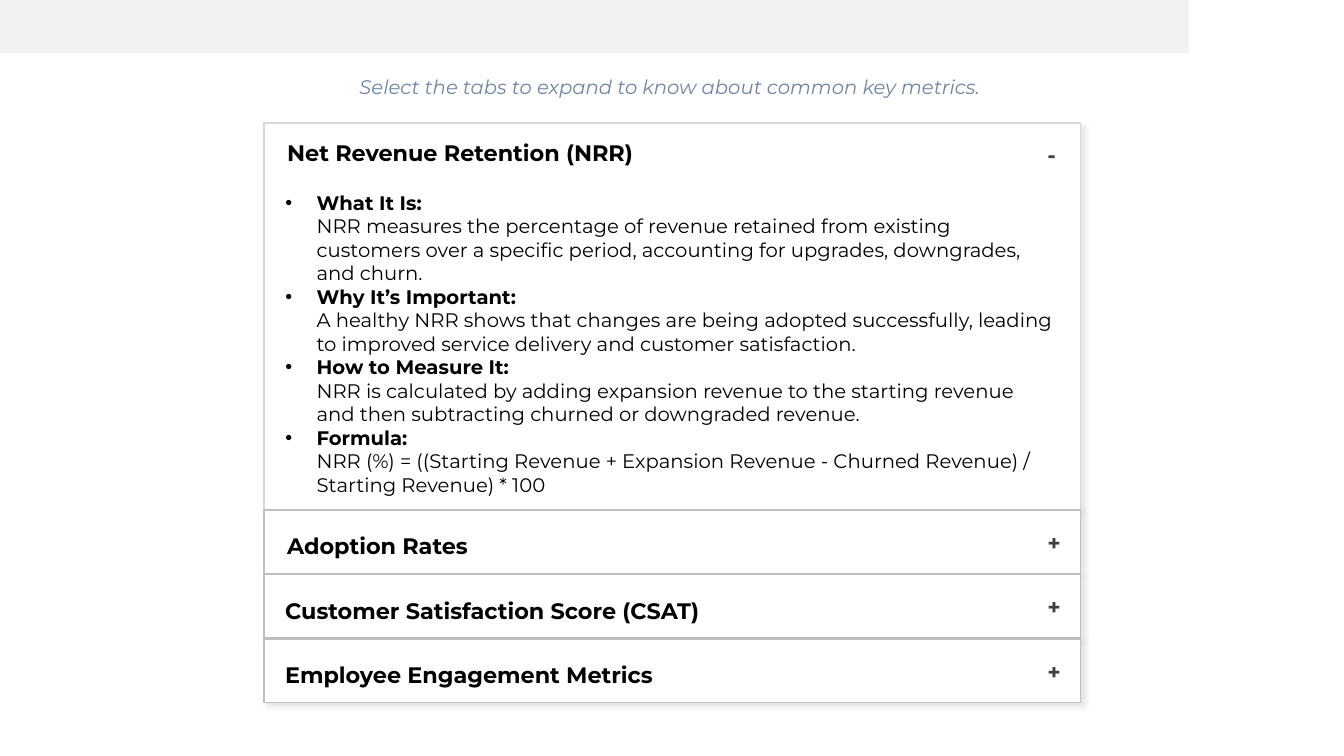
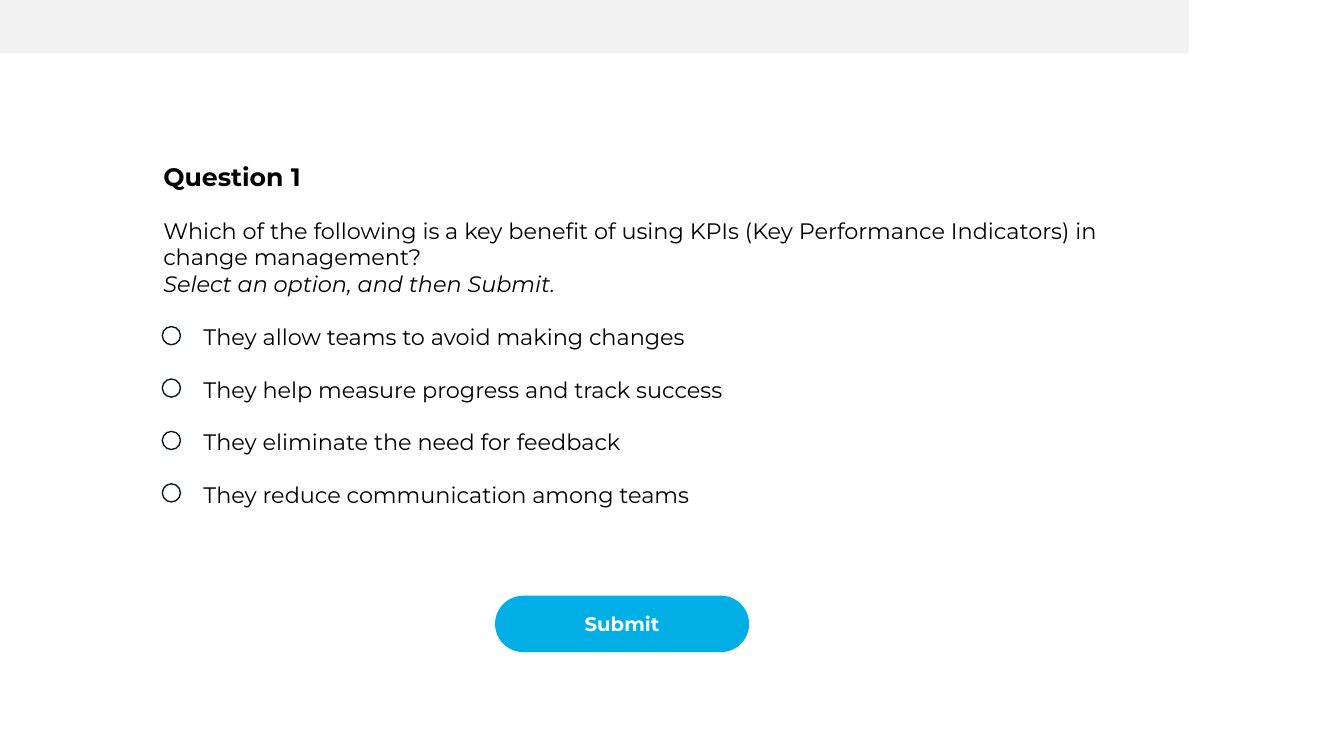
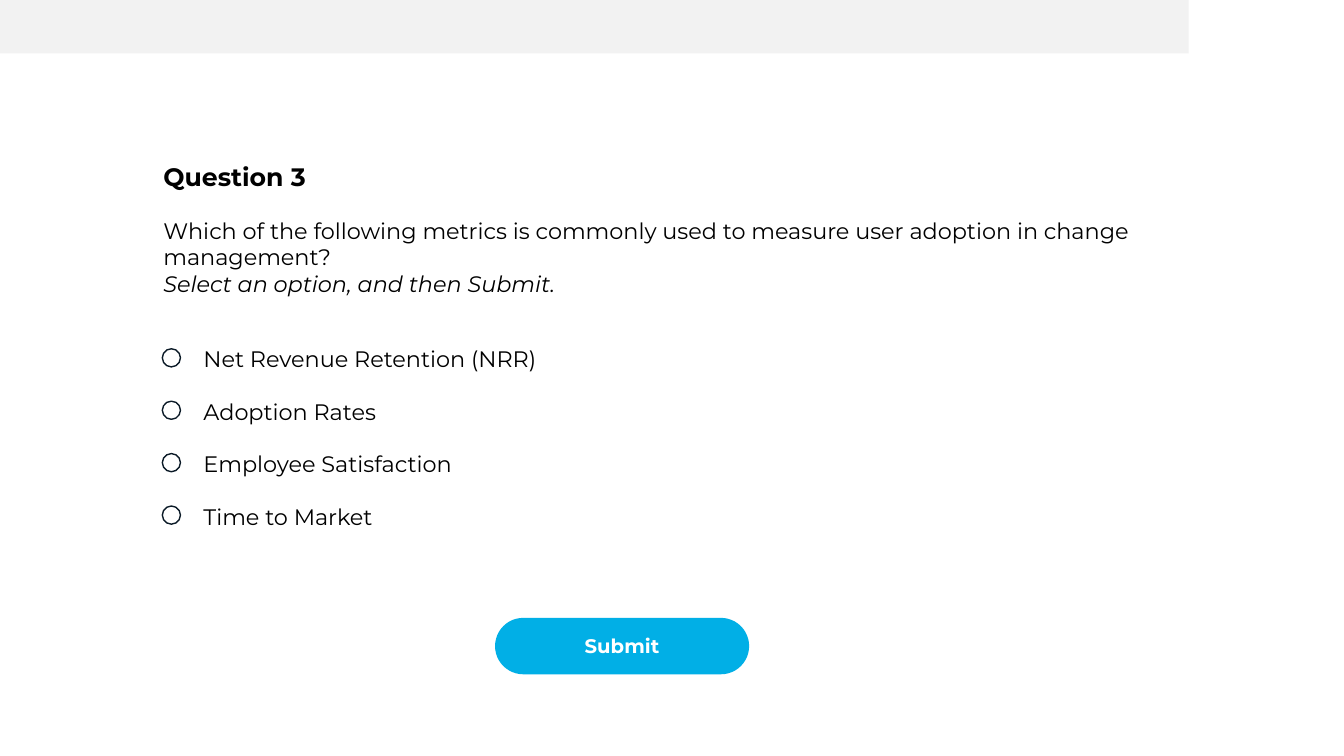
from copy import deepcopy
from dataclasses import dataclass

from lxml.etree import SubElement
from pptx import Presentation
from pptx.dml.color import RGBColor
from pptx.enum.shapes import MSO_SHAPE
from pptx.enum.text import MSO_ANCHOR, MSO_AUTO_SIZE, PP_ALIGN
from pptx.oxml.ns import qn
from pptx.util import Inches, Pt


@dataclass(frozen=True)
class Theme:
    font: str = "Montserrat"
    text: str = "000000"
    hint: str = "6E85A3"
    sign: str = "404040"
    white: str = "FFFFFF"
    band: str = "F2F2F2"
    panel_line: str = "D9D9D9"
    row_line: str = "BFBFBF"
    radio_line: str = "0B1A27"
    button: str = "01AFE6"
    heading_size: int = 18
    text_size: int = 16
    small_size: int = 14


T = Theme()

NRR_POINTS = [
    ("What It Is:",
     "NRR measures the percentage of revenue retained from existing customers over "
     "a specific period, accounting for upgrades, downgrades, and churn."),
    ("Why It’s Important:",
     "A healthy NRR shows that changes are being adopted successfully, leading to "
     "improved service delivery and customer satisfaction."),
    ("How to Measure It:",
     "NRR is calculated by adding expansion revenue to the starting revenue and then "
     "subtracting churned or downgraded revenue."),
    ("Formula:",
     "NRR (%) = ((Starting Revenue + Expansion Revenue - Churned Revenue) / "
     "Starting Revenue) * 100"),
]

CLOSED_TABS = [
    ("Adoption Rates", 2.75),
    ("Customer Satisfaction Score (CSAT)", 2.73),
    ("Employee Engagement Metrics", 2.73),
]


def inches(*lengths):
    return [Inches(length) for length in lengths]


def add_run(p, text, size=T.text_size, color=T.text, bold=False, italic=False):
    r = p.add_run()
    r.text = text
    r.font.name = T.font
    r.font.size = Pt(size)
    r.font.color.rgb = RGBColor.from_string(color)
    r.font.bold = bold
    r.font.italic = italic
    return r


def add_break(p):
    """Add a line break that keeps the format of the run before it."""
    run_format = deepcopy(p._p[-1].find(qn("a:rPr")))
    p.add_line_break()
    p._p[-1].append(run_format)


def set_bullet(p, char=None, indent=0.0):
    """Set a hanging bullet, or no bullet when char is None."""
    p.space_before = Pt(0)
    pPr = p._p.get_or_add_pPr()
    pPr.set("marL", str(Inches(indent)))
    pPr.set("indent", str(-Inches(indent)))
    if char:
        SubElement(pPr, qn("a:buFont"), typeface="Arial")
        SubElement(pPr, qn("a:buChar"), char=char)
    else:
        SubElement(pPr, qn("a:buNone"))


def fit_frame(tf):
    tf.word_wrap = True
    tf.auto_size = MSO_AUTO_SIZE.SHAPE_TO_FIT_TEXT
    tf.vertical_anchor = MSO_ANCHOR.TOP
    return tf


def place(s, sp, *box):
    """Move a placeholder to its box, in front of what is already drawn."""
    sp.left, sp.top, sp.width, sp.height = inches(*box)
    s.shapes.element.append(sp.element)
    return fit_frame(sp.text_frame)


def add_title(s, text, *box, align=PP_ALIGN.LEFT, **style):
    p = place(s, s.shapes.title, *box).paragraphs[0]
    p.alignment = align
    add_run(p, text, **style)


def add_text(s, text, *box, **style):
    tf = fit_frame(s.shapes.add_textbox(*inches(*box)).text_frame)
    add_run(tf.paragraphs[0], text, **style)


def add_box(s, kind, *box, fill=None, line=None):
    sp = s.shapes.add_shape(kind, *inches(*box))
    sp.shadow.inherit = False
    if fill:
        sp.fill.solid()
        sp.fill.fore_color.rgb = RGBColor.from_string(fill)
    else:
        sp.fill.background()
    if line:
        sp.line.color.rgb = RGBColor.from_string(line)
        sp.line.width = Pt(1)
    else:
        sp.line.fill.background()
    return sp


def add_soft_shadow(sp):
    effects = sp.element.spPr.find(qn("a:effectLst"))
    shadow = SubElement(effects, qn("a:outerShdw"), blurRad=str(Pt(4)), dist=str(Pt(3)),
                        dir=str(45 * 60000), algn="tl", rotWithShape="0")
    color = SubElement(shadow, qn("a:srgbClr"), val="000000")
    SubElement(color, qn("a:alpha"), val="10000")


def add_tab(s, label, sign, top, height, line, label_left, label_drop, sign_drop):
    """Draw one accordion tab; the drops are measured from its top."""
    add_soft_shadow(add_box(s, MSO_SHAPE.RECTANGLE, 2.62, top, 8.1, height,
                            fill=T.white, line=line))
    add_text(s, label, label_left, top + label_drop, 7.4, 0.37, bold=True)
    add_text(s, sign, 10.29, top + sign_drop, 0.43, 0.37, color=T.sign, bold=True)


def add_band(s):
    """Put the top band on the layout of the slide, behind its placeholders."""
    band = add_box(s, MSO_SHAPE.RECTANGLE, 0, 0, 11.79, 0.53, fill=T.band)
    s.slide_layout.shapes.element.insert(2, band.element)


def metrics_slide(s):
    add_title(s, "Select the tabs to expand to know about common key metrics.",
              -0.02, 0.69, 13.33, 0.34, align=PP_ALIGN.CENTER,
              size=T.small_size, color=T.hint, italic=True)
    add_tab(s, "Net Revenue Retention (NRR)", "-", 1.22, 3.84, T.panel_line,
            label_left=2.75, label_drop=0.11, sign_drop=0.13)
    tf = place(s, s.placeholders[1], 2.73, 1.84, 7.84, 3.4)
    for i, (lead, detail) in enumerate(NRR_POINTS):
        p = tf.add_paragraph() if i else tf.paragraphs[0]
        set_bullet(p, "•", 0.31)
        add_run(p, lead, size=T.small_size, bold=True)
        add_break(p)
        add_run(p, detail, size=T.small_size)
    for i, (label, left) in enumerate(CLOSED_TABS):
        add_tab(s, label, "+", 5.06 + 0.64 * i, 0.63, T.row_line,
                label_left=left, label_drop=0.17, sign_drop=0.14)


def question_slide(s, number, question, options, options_top):
    add_title(s, f"Question {number}", 1.52, 1.55, 2, 0.4,
              size=T.heading_size, bold=True)
    tf = place(s, s.placeholders[1], 1.52, 2.1, 10.3, 0.91)
    add_run(tf.paragraphs[0], question)
    add_run(tf.add_paragraph(), "Select an option, and then Submit.", italic=True)
    for p in tf.paragraphs:
        set_bullet(p)
    for i, option in enumerate(options):
        top = options_top + 0.52 * i
        add_text(s, option, 1.92, top, 10.3, 0.37)
        add_box(s, MSO_SHAPE.OVAL, 1.61, top + 0.08, 0.18, 0.18, line=T.radio_line)
    button = add_box(s, MSO_SHAPE.ROUNDED_RECTANGLE, 4.91, options_top + 2.75,
                     2.52, 0.56, fill=T.button)
    button.adjustments[0] = 0.5
    p = button.text_frame.paragraphs[0]
    p.alignment = PP_ALIGN.CENTER
    add_run(p, "Submit", size=T.small_size, color=T.white, bold=True)


def main():
    prs = Presentation()
    prs.slide_width, prs.slide_height = inches(13.33, 7.5)
    layout = prs.slide_layouts[1]
    metrics, first, third = [prs.slides.add_slide(layout) for _ in range(3)]
    add_band(metrics)
    metrics_slide(metrics)
    question_slide(
        first, 1,
        "Which of the following is a key benefit of using KPIs "
        "(Key Performance Indicators) in change management?",
        ["They allow teams to avoid making changes",
         "They help measure progress and track success",
         "They eliminate the need for feedback",
         "They reduce communication among teams"],
        options_top=3.16)
    question_slide(
        third, 3,
        "Which of the following metrics is commonly used to measure "
        "user adoption in change management?",
        ["Net Revenue Retention (NRR)", "Adoption Rates",
         "Employee Satisfaction", "Time to Market"],
        options_top=3.38)
    prs.save("out.pptx")


if __name__ == "__main__":
    main()
